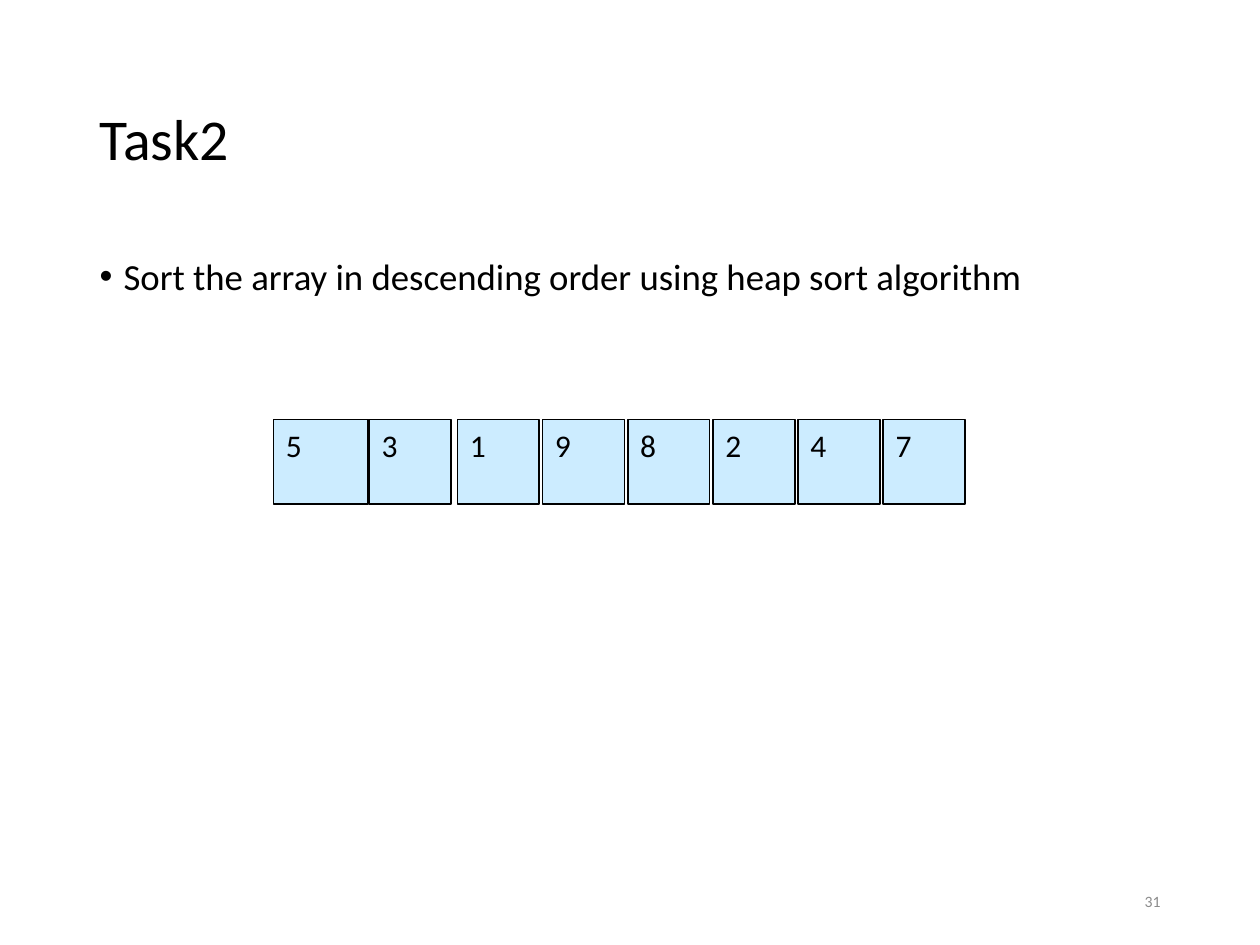
from pptx import Presentation
from pptx.dml.color import RGBColor
from pptx.enum.shapes import MSO_SHAPE
from pptx.enum.text import MSO_ANCHOR, MSO_AUTO_SIZE, PP_ALIGN
from pptx.util import Inches, Pt

RECTANGLE = MSO_SHAPE.RECTANGLE
TOP, MIDDLE = MSO_ANCHOR.TOP, MSO_ANCHOR.MIDDLE
LEFT, RIGHT = PP_ALIGN.LEFT, PP_ALIGN.RIGHT
NO_AUTOFIT = MSO_AUTO_SIZE.NONE
TITLE_AND_CONTENT = 1


def color(hex_string):
    return RGBColor.from_string(hex_string)


def write_text(shape, text, size, font="Calibri", text_color="000000",
               align=LEFT, anchor=TOP, line_spacing=1.0, space_before=0):
    frame = shape.text_frame
    frame.word_wrap = True
    frame.auto_size = NO_AUTOFIT
    frame.vertical_anchor = anchor
    paragraph = frame.paragraphs[0]
    paragraph.alignment = align
    paragraph.line_spacing = line_spacing
    paragraph.space_before = Pt(space_before)
    run = paragraph.add_run()
    run.text = text
    run.font.name = font
    run.font.size = Pt(size)
    run.font.color.rgb = color(text_color)
    return paragraph


class SlideBuilder:
    """Holds the style and the slide being built."""
    cell_fill = "CCECFF"
    cell_line = "000000"
    muted = "8C8C8C"

    def __init__(self, slide):
        self.slide = slide

    def place(self, shape, left, top, width, height):
        shape.left, shape.top = Inches(left), Inches(top)
        shape.width, shape.height = Inches(width), Inches(height)
        return shape

    def title(self, text, *box):
        shape = self.place(self.slide.shapes.title, *box)
        write_text(shape, text, 33, anchor=MIDDLE, line_spacing=0.9)

    def bullet(self, text, *box):
        shape = self.place(self.slide.placeholders[1], *box)
        paragraph = write_text(shape, text, 21, line_spacing=0.9, space_before=7.5)
        properties = paragraph._p.get_or_add_pPr()
        properties.set("marL", str(Inches(0.19)))
        properties.set("indent", str(-Inches(0.19)))

    def page_number(self, text, *box):
        shape = self.slide.shapes.add_textbox(*map(Inches, box))
        write_text(shape, text, 9, text_color=self.muted, align=RIGHT, anchor=MIDDLE)

    def cell(self, group, text, *box):
        shape = group.shapes.add_shape(RECTANGLE, *map(Inches, box))
        shape.shadow.inherit = False
        shape.fill.solid()
        shape.fill.fore_color.rgb = color(self.cell_fill)
        shape.line.color.rgb = color(self.cell_line)
        shape.line.width = Pt(1)
        write_text(shape, text, 18)

    def array(self, values, top, height):
        """Draw a wide first cell, a second cell, then evenly spaced cells."""
        group = self.slide.shapes.add_group_shape()
        pitch = (7.01 - 3.63) / 5
        lefts = [2.17, 2.93] + [3.63 + pitch * i for i in range(len(values) - 2)]
        for index, (value, left) in enumerate(zip(values, lefts)):
            width = 0.75 if index == 0 else 0.65
            self.cell(group, str(value), left, top, width, height)


def main():
    presentation = Presentation()
    presentation.slide_width = Inches(10)
    presentation.slide_height = Inches(7.5)
    layout = presentation.slide_layouts[TITLE_AND_CONTENT]
    builder = SlideBuilder(presentation.slides.add_slide(layout))

    builder.title("Task2", 0.69, 0.4, 8.62, 1.45)
    builder.bullet("Sort the array in descending order using heap sort algorithm",
                   0.69, 2, 8.62, 4.76)
    builder.page_number("31", 7.06, 6.95, 2.25, 0.4)
    builder.array([5, 3, 1, 9, 8, 2, 4, 7], top=3.33, height=0.67)

    presentation.save("out.pptx")


if __name__ == "__main__":
    main()
